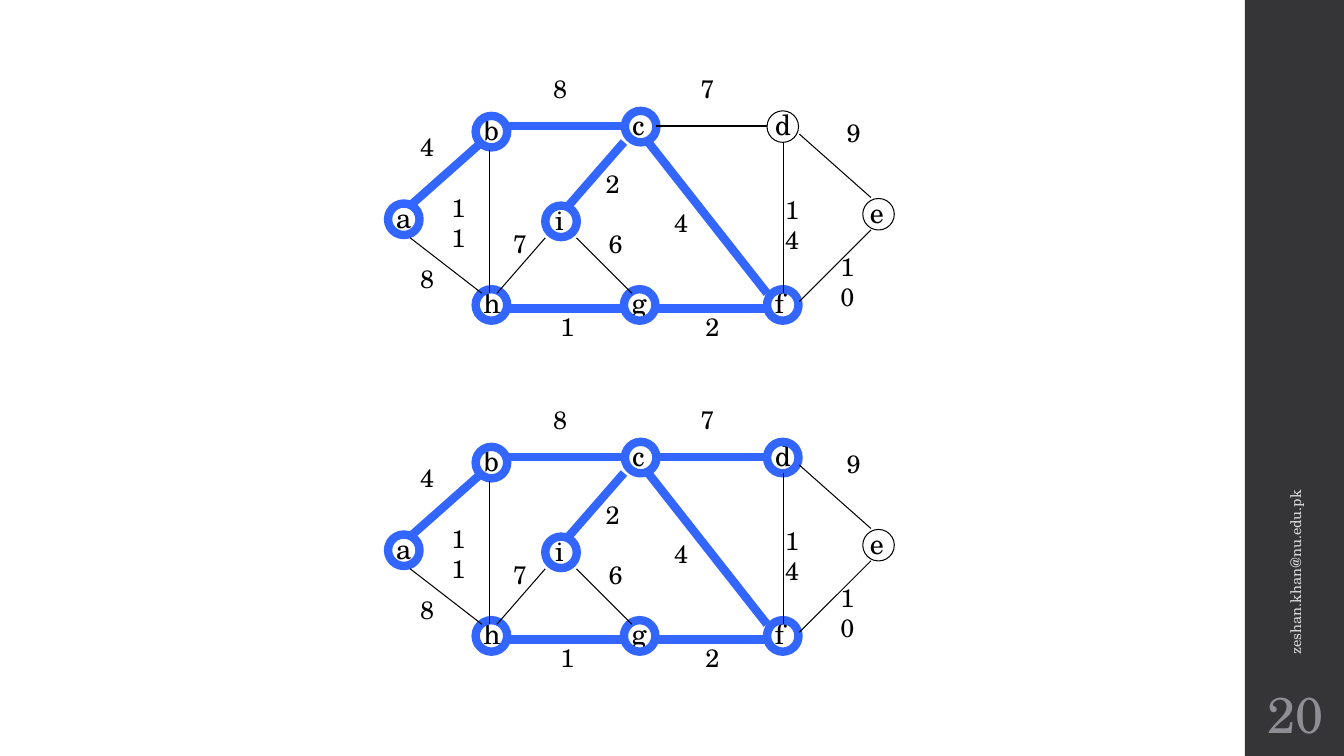
from lxml.etree import SubElement
from pptx import Presentation
from pptx.dml.color import RGBColor
from pptx.enum.shapes import MSO_CONNECTOR, MSO_SHAPE
from pptx.enum.text import MSO_ANCHOR, PP_ALIGN
from pptx.oxml.ns import qn
from pptx.util import Pt

FONT = "TeX Gyre Schola"
BLACK = RGBColor(0x00, 0x00, 0x00)
TREE_BLUE = RGBColor(0x33, 0x66, 0xFF)
SIDEBAR_GREY = RGBColor(0x35, 0x35, 0x37)
EMAIL_GREY = RGBColor(0xD9, 0xD9, 0xDB)
NUMBER_GREY = RGBColor(0x8E, 0x8E, 0x94)

# Nodes: circle left and top, letter offset from circle left, letter box width
NODES = {
    "a": (277.2, 145.4, -1.5, 24.5),
    "b": (339.8, 82.8, -1.5, 25),
    "h": (339.8, 206.6, -1.5, 25),
    "c": (446.4, 79.2, -2, 23),
    "d": (547.9, 79.2, -1.5, 25),
    "e": (616.3, 141.8, -2, 24.5),
    "f": (547.9, 206.6, -1.5, 21),
    "g": (445.7, 206.6, -1.5, 24.5),
    "i": (389.5, 146.9, 0, 20),
}

# Edges: start and end points, weight, weight label left and top
EDGES = {
    "ab": ((293, 146.9), (344.2, 101.5), "4", (293, 90)),
    "ah": ((293, 169.9), (344.2, 209.5), "8", (293, 184.3)),
    "bh": ((349.9, 107.3), (349.9, 209.5), "11", (315.4, 133.9)),
    "bc": ((360.7, 90), (445.7, 90), "8", (388.1, 49)),
    "hg": ((360.7, 220.3), (445.7, 220.3), "1", (393.1, 218.9)),
    "gf": ((468.7, 220.3), (547.9, 220.3), "2", (496.8, 218.9)),
    "cf": ((463, 101.5), (547.9, 209.5), "4", (474.5, 144.7)),
    "cd": ((468.7, 90), (547.9, 90), "7", (493.2, 49)),
    "df": ((559.4, 101.5), (559.4, 209.5), "14", (553.7, 135.4)),
    "de": ((571, 95.8), (622.1, 141.1), "9", (597.6, 80.6)),
    "fe": ((571, 215.3), (622.1, 164.2), "10", (593.3, 175.7)),
    "ig": ((411.8, 169.9), (451.4, 209.5), "6", (427.7, 159.8)),
    "hi": ((355, 209.5), (389.5, 169.9), "7", (359.3, 159.8)),
    "ic": ((406.1, 146.9), (445.7, 101.5), "2", (425.5, 116.6)),
}

# Tree edges chosen at each step
STEP_ONE = ("ab", "bc", "ic", "cf", "gf", "hg")
TREES = (STEP_ONE, STEP_ONE + ("cd",))
STEP_GAP = 236.4

EMAIL = "zeshan.khan@nu.edu.pk"
PAGE = "20"

CIRCLE = 22.5
LETTER_RISE, LETTER_HEIGHT = 6, 31.5
WEIGHT_HEIGHT = 28.8


def add_label(shapes, words, left, top, width, height, size, colour):
    label = shapes.add_textbox(Pt(left), Pt(top), Pt(width), Pt(height))
    label.text_frame.word_wrap = True
    run = label.text_frame.paragraphs[0].add_run()
    run.text = words
    run.font.name = FONT
    run.font.size = Pt(size)
    run.font.color.rgb = colour
    return label


def style_line(line, in_tree):
    line.color.rgb = TREE_BLUE if in_tree else BLACK
    line.width = Pt(6 if in_tree else 0.75)


def add_graph(slide, tree, drop):
    shapes = slide.shapes.add_group_shape().shapes
    reached = set("".join(tree))

    for letter, (left, top, offset, width) in NODES.items():
        add_label(shapes, letter, left + offset, top + drop - LETTER_RISE,
                  width, LETTER_HEIGHT, 20, BLACK)
        circle = shapes.add_shape(MSO_SHAPE.OVAL, Pt(left), Pt(top + drop),
                                  Pt(CIRCLE), Pt(CIRCLE))
        circle.shadow.inherit = False
        circle.fill.background()
        style_line(circle.line, letter in reached)

    for ends, ((x1, y1), (x2, y2), _, _) in EDGES.items():
        edge = shapes.add_connector(MSO_CONNECTOR.STRAIGHT, Pt(x1), Pt(y1 + drop),
                                    Pt(x2), Pt(y2 + drop))
        style_line(edge.line, ends in tree)
        SubElement(edge._element.spPr, qn("a:effectLst"))

    for _, _, weight, (left, top) in EDGES.values():
        width = 24 if len(weight) == 1 else 33
        add_label(shapes, weight, left, top + drop, width, WEIGHT_HEIGHT, 18, BLACK)


deck = Presentation()
deck.slide_width, deck.slide_height = Pt(960), Pt(540)
slide = deck.slides.add_slide(deck.slide_layouts[6])

# Sidebar
sidebar = slide.shapes.add_shape(MSO_SHAPE.RECTANGLE, Pt(889.2), Pt(0), Pt(70.8), Pt(540))
sidebar.shadow.inherit = False
sidebar.fill.solid()
sidebar.fill.fore_color.rgb = SIDEBAR_GREY
sidebar.line.fill.background()

# Graphs, one per step
for step, tree in enumerate(TREES):
    add_graph(slide, tree, step * STEP_GAP)

# Email and page number
email = add_label(slide.shapes, EMAIL, 784.1, 319, 282.2, 28.8, 10.5, EMAIL_GREY)
email.rotation = 270
email.text_frame.vertical_anchor = MSO_ANCHOR.MIDDLE

page = add_label(slide.shapes, PAGE, 889.2, 486, 72, 46.8, 36, NUMBER_GREY)
page.text_frame.vertical_anchor = MSO_ANCHOR.MIDDLE
page.text_frame.margin_left = page.text_frame.margin_right = Pt(3.6)
page.text_frame.paragraphs[0].alignment = PP_ALIGN.CENTER

deck.save("out.pptx")
